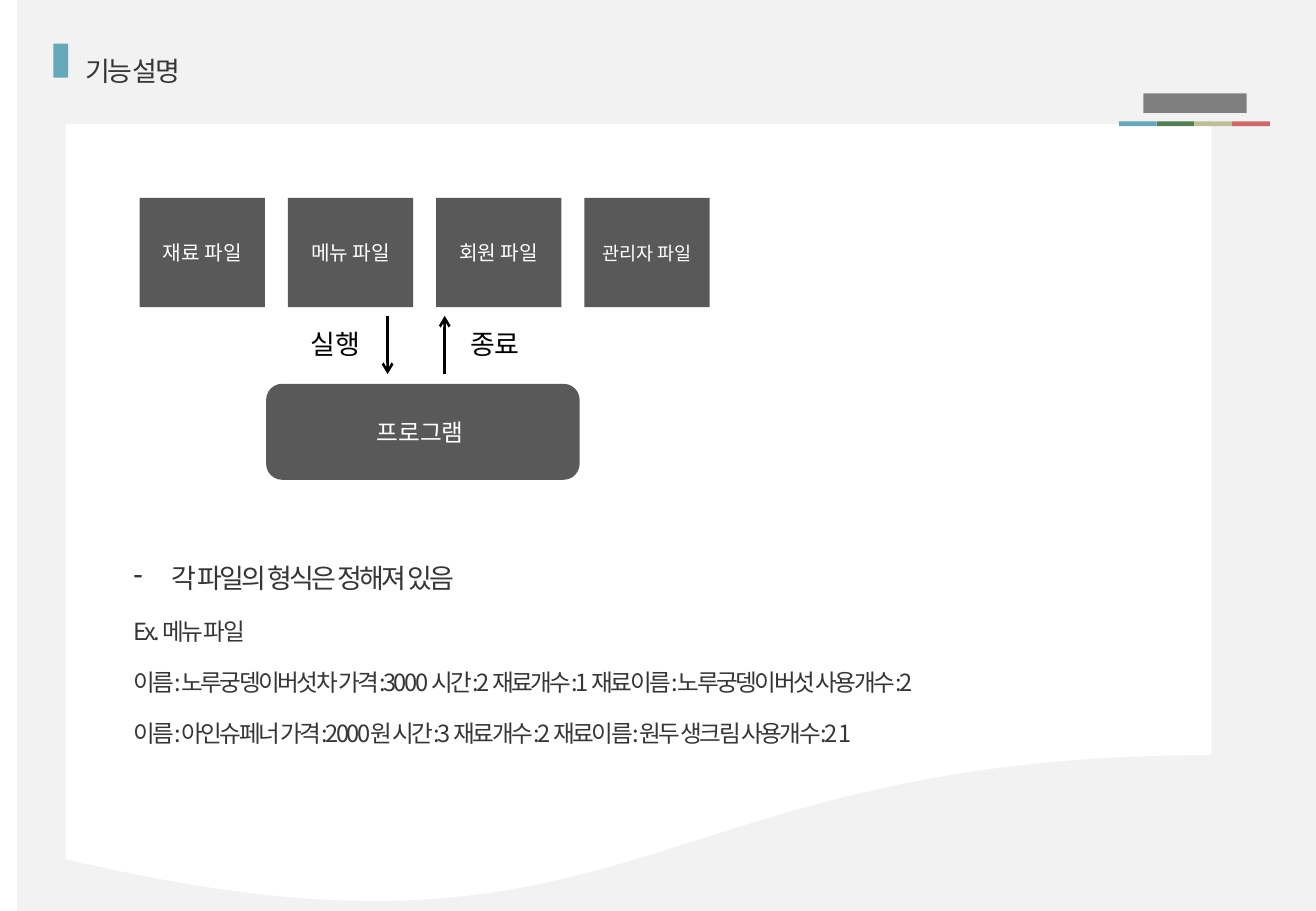
from lxml.etree import SubElement
from pptx import Presentation
from pptx.dml.color import RGBColor
from pptx.enum.shapes import MSO_CONNECTOR as Connector, MSO_SHAPE as Shape
from pptx.enum.text import MSO_ANCHOR as Anchor, PP_ALIGN as Align
from pptx.oxml.ns import qn
from pptx.util import Pt

EMU_PER_PX = 9144  # 100 px to the inch


def px(length):
    return length * EMU_PER_PX


def rgb(value):
    return RGBColor.from_string(value)


class SlideBuilder:
    FONT = "Noto Sans CJK KR"
    PAPER, WHITE, BLACK = "F2F2F2", "FFFFFF", "000000"
    BOX, INK, TEAL = "595959", "363636", "66A7B9"

    def __init__(self, prs):
        self.slide = prs.slides.add_slide(prs.slide_layouts[6])
        background = self.slide.background.fill
        background.solid()
        background.fore_color.rgb = rgb(self.PAPER)

    def run(self, paragraph, text, size, color, tight=False):
        """Add a run; tight draws its letters closer together."""
        run = paragraph.add_run()
        run.text = text
        run.font.size = Pt(size)
        run.font.name = self.FONT
        run.font.color.rgb = rgb(color)
        props = run.font._element
        SubElement(props, qn("a:ea"), typeface=self.FONT)
        if tight:
            props.set("spc", "-150")

    def block(self, kind, box, color, label=None, size=12):
        shape = self.slide.shapes.add_shape(kind, *map(px, box))
        shape.shadow.inherit = False
        shape.fill.solid()
        shape.fill.fore_color.rgb = rgb(color)
        shape.line.fill.background()
        if label:
            shape.text_frame.vertical_anchor = Anchor.MIDDLE
            paragraph = shape.text_frame.paragraphs[0]
            paragraph.alignment = Align.CENTER
            self.run(paragraph, label, size, self.WHITE)

    def label(self, box, text, size):
        frame = self.slide.shapes.add_textbox(*map(px, box)).text_frame
        frame.word_wrap = False
        self.run(frame.paragraphs[0], text, size, self.BLACK)

    def spaced_text(self, box, lines, spacing):
        """Add a middle-anchored text box of (text, size) lines."""
        frame = self.slide.shapes.add_textbox(*map(px, box)).text_frame
        frame.word_wrap = True
        frame.vertical_anchor = Anchor.MIDDLE
        frame.margin_left = frame.margin_right = px(12)
        frame.margin_top = frame.margin_bottom = px(6)
        for index, (text, size) in enumerate(lines):
            paragraph = frame.add_paragraph() if index else frame.paragraphs[0]
            paragraph.line_spacing = spacing
            paragraph.space_before = Pt(5)
            self.run(paragraph, text, size, self.INK, tight=True)
        return frame.paragraphs

    def dash_bullet(self, paragraph, indent):
        props = paragraph._p.get_or_add_pPr()
        props.set("marL", str(px(indent)))
        props.set("indent", str(-px(indent)))
        SubElement(props, qn("a:buFontTx"))
        SubElement(props, qn("a:buChar"), char="-")

    def arrow(self, x, start, end):
        line = self.slide.shapes.add_connector(
            Connector.STRAIGHT, px(x), px(start), px(x), px(end))
        line.line.width = Pt(1.5)
        line.line.color.rgb = rgb(self.BLACK)
        SubElement(line.line._get_or_add_ln(), qn("a:tailEnd"), type="arrow")
        SubElement(line._element.spPr, qn("a:effectLst"))


def main():
    prs = Presentation()
    prs.slide_width, prs.slide_height = px(1083), px(750)
    page = SlideBuilder(prs)

    page.block(Shape.FLOWCHART_DOCUMENT, (54, 102, 943, 648), page.WHITE)
    page.block(Shape.RECTANGLE, (0, 0, 14, 750), page.WHITE)
    page.spaced_text((58, 17, 197, 55), [("기능 설명", 16)], 2.0)
    page.block(Shape.RECTANGLE, (44, 36, 12, 28), page.TEAL)

    for index, color in enumerate((page.TEAL, "527E56", "BDC097", "CF6868")):
        page.block(Shape.RECTANGLE, (921 + 31 * index, 100, 31, 4), color)
    page.block(Shape.RECTANGLE, (941, 77, 85, 16), "7F7F7F")

    files = (("재료 파일", 12), ("메뉴 파일", 12), ("회원 파일", 12), ("관리자 파일", 11))
    for index, (name, size) in enumerate(files):
        page.block(Shape.RECTANGLE, (115 + 122 * index, 163, 103, 90),
                   page.BOX, name, size)
    page.block(Shape.ROUNDED_RECTANGLE, (219, 316, 258, 79),
               page.BOX, "프로그램 ", 14)
    page.arrow(319, 260, 308)
    page.arrow(366, 308, 260)
    page.label((246, 265, 65, 37), "실행", 16)
    page.label((377, 265, 65, 37), "종료", 16)

    notes = page.spaced_text((98, 509, 808, 46), [
        ("각 파일의 형식은 정해져 있음", 16),
        ("Ex. 메뉴 파일", 14),
        ("이름:노루궁뎅이버섯차 가격:3000 시간:2 재료개수:1 "
         "재료이름:노루궁뎅이버섯 사용개수:2", 14),
        ("이름:아인슈페너 가격:2000원 시간:3 재료개수:2 "
         "재료이름:원두 생크림 사용개수:2 1", 14),
    ], 1.5)
    page.dash_bullet(notes[0], 31)

    prs.save("out.pptx")


if __name__ == "__main__":
    main()
